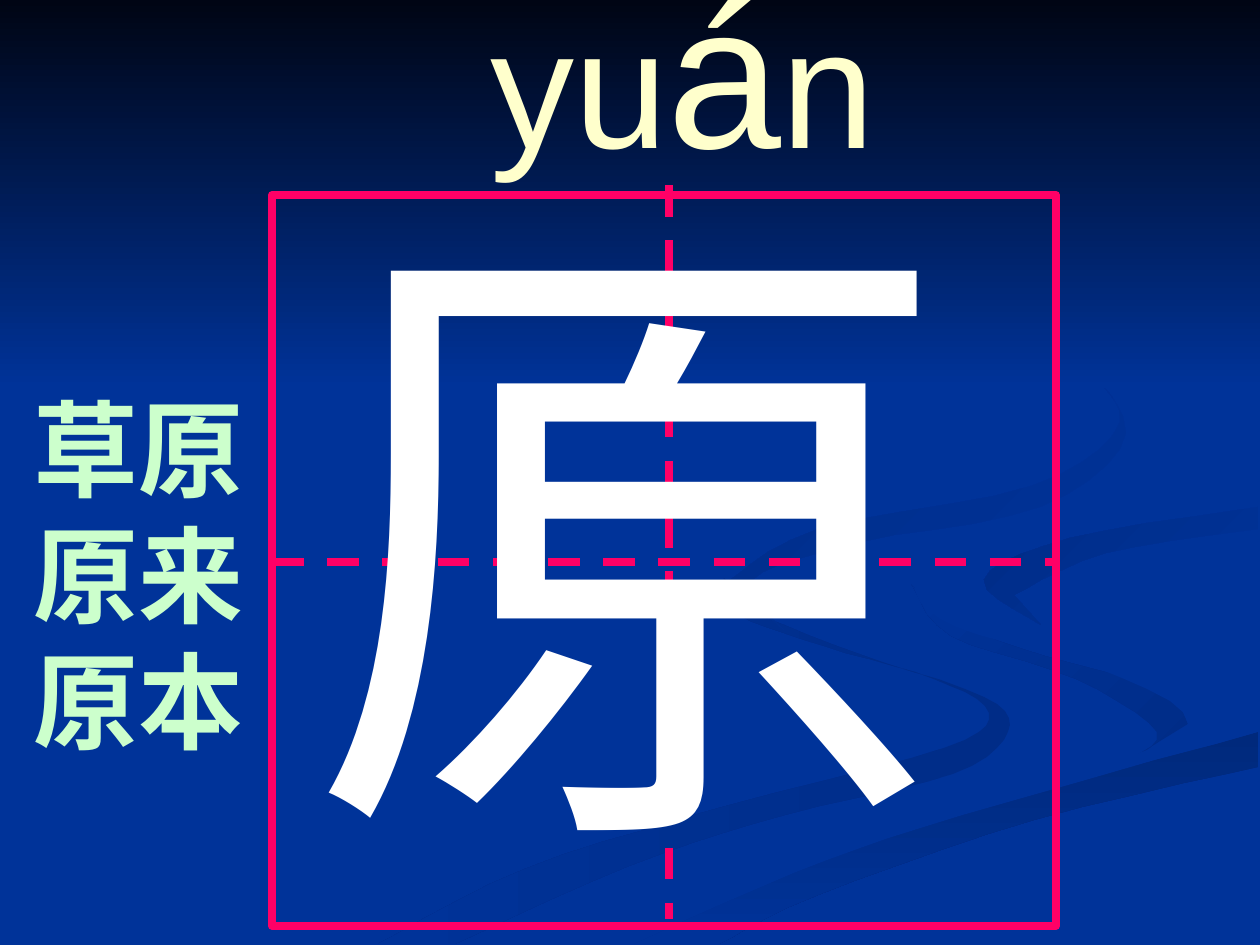
from dataclasses import dataclass

from lxml import etree
from pptx import Presentation
from pptx.dml.color import RGBColor
from pptx.enum.dml import MSO_LINE
from pptx.enum.shapes import MSO_CONNECTOR, MSO_SHAPE
from pptx.enum.text import MSO_AUTO_SIZE
from pptx.oxml.ns import qn
from pptx.util import Pt

DASH = MSO_LINE.DASH
STRAIGHT = MSO_CONNECTOR.STRAIGHT
RECTANGLE = MSO_SHAPE.RECTANGLE
FIT_SHAPE = MSO_AUTO_SIZE.SHAPE_TO_FIT_TEXT

EMU_PER_PX = 914400 / 126
SLIDE_W, SLIDE_H = 1260, 945
CURVE_STEPS = 5


@dataclass(frozen=True)
class Theme:
    blue: str = "003399"
    dusk: str = "002C87"
    deep: str = "00297C"
    night: str = "000514"
    grid: str = "FF0066"
    character: str = "FFFFFF"
    words: str = "CCFFCC"
    pinyin: str = "FFFFCC"
    sans: str = "Arial"
    serif: str = "Times New Roman"
    character_size: int = 370
    words_size: int = 60
    pinyin_size: int = 96
    accent_size: int = 117
    grid_width: float = 4.5


THEME = Theme()

# Background ribbons, back to front: (start colour, end colour, clockwise angle, edges)
SHARED_EDGE = [(634, 944), (794, 873), (963, 815), (1258, 732)]
RIBBONS = [
    (THEME.dusk, THEME.blue, 180, [
        [(724, 578), (738, 614), (824, 646), (934, 679), (989, 713), (944, 748),
         (730, 805), (525, 869), (378, 944)],
        [(455, 944), (629, 866), (785, 815), (953, 774), (1008, 732), (984, 697),
         (859, 654), (748, 611)]]),
    (THEME.dusk, THEME.blue, 225, [
        [(912, 585), (951, 636), (1076, 679), (1157, 732), (1126, 762)],
        [(1188, 724), (1158, 689), (1022, 649), (939, 617)]]),
    (THEME.deep, THEME.blue, 90, [
        SHARED_EDGE,
        [(1258, 767), (1034, 820), (818, 895), (719, 944)]]),
    (THEME.blue, None, 0, [
        [(1258, 488), (1101, 514), (951, 544), (914, 585), (956, 627), (1097, 668),
         (1188, 724), (1062, 779), (780, 862), (601, 944)],
        SHARED_EDGE,
        [(1258, 678), (1068, 634), (984, 583), (1090, 534), (1258, 507)]]),
    (THEME.blue, THEME.dusk, 225, [
        [(1258, 507), (1070, 538), (984, 580), (1041, 625)],
        [(1014, 595), (1106, 553), (1258, 529)]]),
    (THEME.blue, THEME.dusk, 225, [
        [(960, 294), (1062, 347), (1126, 433), (1040, 507), (861, 542), (751, 581),
         (784, 630)],
        [(727, 582), (818, 529), (1031, 486), (1120, 422), (1077, 359)]]),
]


def px(*lengths):
    return [round(length * EMU_PER_PX) for length in lengths]


def rgb(colour):
    return RGBColor.from_string(colour)


def smooth(edge):
    """Run a Catmull-Rom curve through the points of an edge."""
    padded = [edge[0], *edge, edge[-1]]
    curve = []
    for knots in zip(padded, padded[1:], padded[2:], padded[3:]):
        for step in range(CURVE_STEPS):
            t = step / CURVE_STEPS
            curve.append(tuple(
                b + t * (c - a + t * (2 * a - 5 * b + 4 * c - d
                                      + t * (3 * b - a - 3 * c + d))) / 2
                for a, b, c, d in zip(*knots)))
    return curve + [edge[-1]]


def paint(shape, start, end=None, angle=0):
    """Fill a borderless shape with one colour or a two-colour gradient."""
    shape.shadow.inherit = False
    shape.line.fill.background()
    if end is None:
        shape.fill.solid()
        shape.fill.fore_color.rgb = rgb(start)
        return
    shape.fill.gradient()
    shape.fill.gradient_angle = (360 - angle) % 360
    for stop, colour in zip(shape.fill.gradient_stops, (start, end)):
        stop.color.rgb = rgb(colour)


def add_ribbon(slide, start, end, angle, edges):
    outline = [point for edge in edges for point in smooth(edge)]
    builder = slide.shapes.build_freeform(*outline[0], scale=EMU_PER_PX)
    builder.add_line_segments(outline[1:], close=True)
    paint(builder.convert_to_shape(), start, end, angle)


def add_sky(slide):
    sky = slide.shapes.add_shape(RECTANGLE, *px(0, 0, SLIDE_W, 388))
    paint(sky, THEME.night, THEME.blue, 90)


def style_grid_line(line):
    line.color.rgb = rgb(THEME.grid)
    line.width = Pt(THEME.grid_width)


def add_grid_frame(slide, *box):
    frame = slide.shapes.add_shape(RECTANGLE, *px(*box))
    frame.shadow.inherit = False
    frame.fill.background()
    style_grid_line(frame.line)


def add_guide(slide, *ends):
    guide = slide.shapes.add_connector(STRAIGHT, *px(*ends))
    style_grid_line(guide.line)
    guide.line.dash_style = DASH
    etree.SubElement(guide._element.spPr, qn("a:effectLst"))


def add_text(slide, box, runs, *, font, colour, bold=False, wrap=True):
    """Add one paragraph made of (text, size) runs."""
    frame = slide.shapes.add_textbox(*px(*box)).text_frame
    frame.word_wrap = wrap
    frame.auto_size = FIT_SHAPE
    for text, size in runs:
        run = frame.paragraphs[0].add_run()
        run.text = text
        run.font.name = font
        run.font.size = Pt(size)
        run.font.bold = bold
        run.font.color.rgb = rgb(colour)


def main():
    prs = Presentation()
    prs.slide_width, prs.slide_height = px(SLIDE_W, SLIDE_H)
    slide = prs.slides.add_slide(prs.slide_layouts[6])

    # Background
    slide.background.fill.solid()
    slide.background.fill.fore_color.rgb = rgb(THEME.blue)
    for ribbon in RIBBONS:
        add_ribbon(slide, *ribbon)
    add_sky(slide)

    # Writing grid
    add_grid_frame(slide, 272, 195, 784, 731)
    add_guide(slide, 272, 562, 1057, 562)
    add_guide(slide, 669, 185, 669, 919)

    # Character, example words and pinyin
    add_text(slide, (294, 126, 648, 790), [("原", THEME.character_size)],
             font=THEME.serif, colour=THEME.character)
    add_text(slide, (21, 378, 258, 391), [("草原原来原本", THEME.words_size)],
             font=THEME.sans, colour=THEME.words, bold=True)
    add_text(slide, (478, -62, 410, 258),
             [("yu", THEME.pinyin_size), ("á", THEME.accent_size), ("n", THEME.pinyin_size)],
             font=THEME.sans, colour=THEME.pinyin, wrap=False)

    prs.save("out.pptx")


if __name__ == "__main__":
    main()
